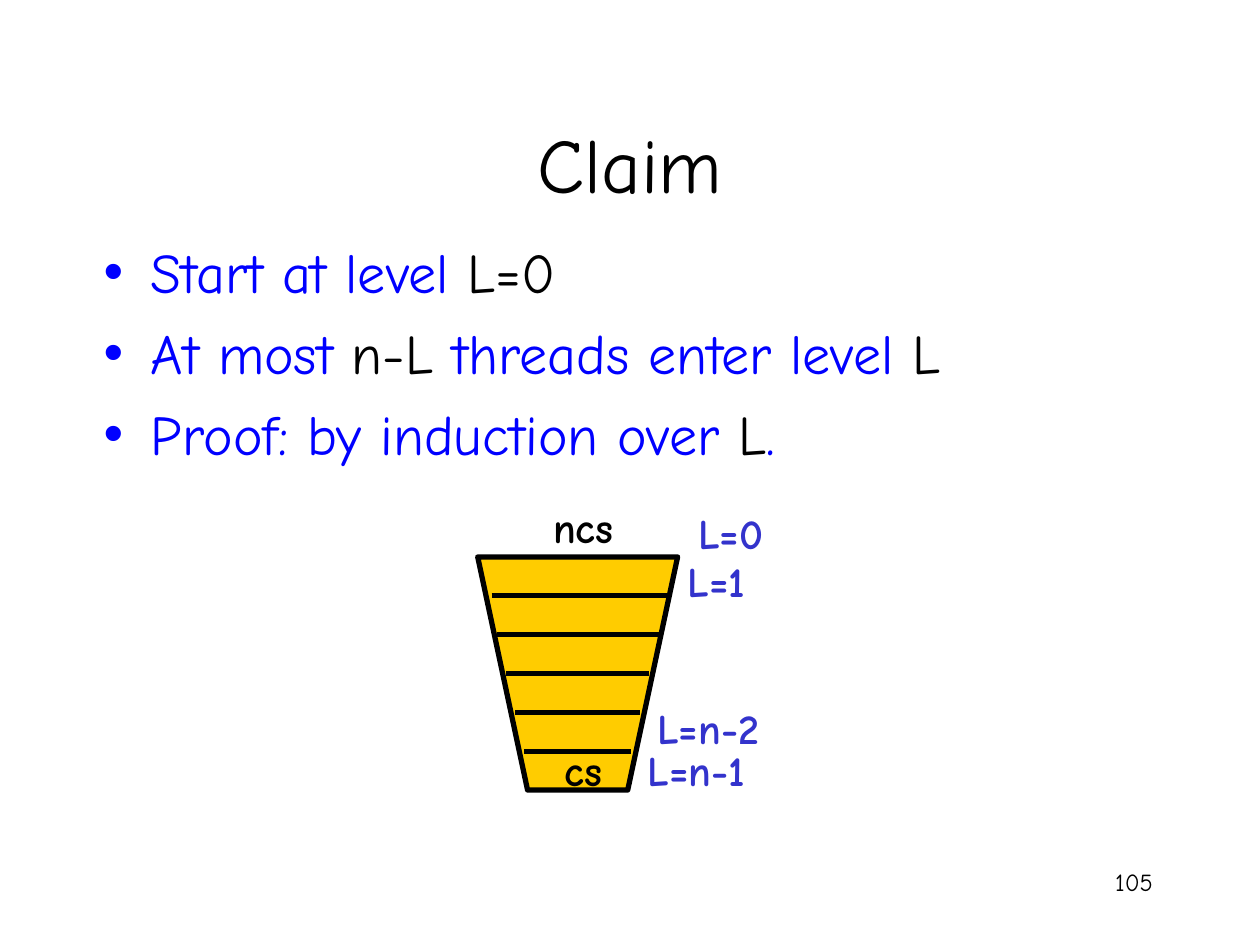
from dataclasses import dataclass

from lxml import etree
from pptx import Presentation
from pptx.dml.color import RGBColor
from pptx.enum.shapes import MSO_CONNECTOR
from pptx.enum.text import MSO_ANCHOR, MSO_AUTO_SIZE, PP_ALIGN
from pptx.oxml.ns import qn
from pptx.util import Pt

STRAIGHT = MSO_CONNECTOR.STRAIGHT
TOP, MIDDLE = MSO_ANCHOR.TOP, MSO_ANCHOR.MIDDLE
NO_FIT, GROW = MSO_AUTO_SIZE.NONE, MSO_AUTO_SIZE.SHAPE_TO_FIT_TEXT
LEFT, CENTER, RIGHT = PP_ALIGN.LEFT, PP_ALIGN.CENTER, PP_ALIGN.RIGHT


@dataclass(frozen=True)
class Theme:
    font: str = "Comic Neue"
    black: RGBColor = RGBColor(0x00, 0x00, 0x00)
    blue: RGBColor = RGBColor(0x00, 0x00, 0xFF)
    level: RGBColor = RGBColor(0x33, 0x33, 0xCC)
    funnel: RGBColor = RGBColor(0xFF, 0xCC, 0x00)
    title_size: int = 44
    body_size: int = 32
    label_size: int = 24
    number_size: int = 14
    line_width: int = 3


theme = Theme()


def add_run(paragraph, text, size, color, bold=False):
    run = paragraph.add_run()
    run.text = text
    run.font.name = theme.font
    run.font.size = Pt(size)
    run.font.bold = bold
    run.font.color.rgb = color


def place(shape, left, top, width, height):
    shape.left, shape.top = Pt(left), Pt(top)
    shape.width, shape.height = Pt(width), Pt(height)


prs = Presentation()
prs.slide_width, prs.slide_height = Pt(720), Pt(540)
slide = prs.slides.add_slide(prs.slide_layouts[1])
shapes = slide.shapes

# Title
title = shapes.title
place(title, 54, 48, 612, 90)
title.text_frame.auto_size = NO_FIT
title.text_frame.vertical_anchor = MIDDLE
heading = title.text_frame.paragraphs[0]
heading.alignment = CENTER
add_run(heading, "Claim", theme.title_size, theme.black)

# Claim list: plain words in blue, formulas in black
claims = [
    [("Start at level ", theme.blue), ("L=0", theme.black)],
    [("At most ", theme.blue), ("n-L", theme.black),
     (" threads enter level ", theme.blue), ("L", theme.black)],
    [("Proof: by induction over ", theme.blue), ("L", theme.black),
     (".", theme.blue)],
]
body = slide.placeholders[1]
place(body, 52, 132, 612, 324)
body.text_frame.auto_size = NO_FIT
body.text_frame.vertical_anchor = TOP
for index, claim in enumerate(claims):
    item = body.text_frame.paragraphs[0] if index == 0 else body.text_frame.add_paragraph()
    item.alignment = LEFT
    item.space_before = Pt(8 if index else 0)
    properties = item._p.get_or_add_pPr()
    properties.set("marL", str(Pt(27)))
    properties.set("indent", str(Pt(-27)))
    etree.SubElement(properties, qn("a:buChar"), char="•")
    for text, color in claim:
        add_run(item, text, theme.body_size, color)

# Funnel
funnel_top, level_height, level_count = 318.25, 22.2, 6
funnel_bottom = funnel_top + level_height * level_count
builder = shapes.build_freeform(Pt(273), Pt(funnel_top))
builder.add_line_segments(
    [(Pt(301.5), Pt(funnel_bottom)), (Pt(358.75), Pt(funnel_bottom)),
     (Pt(387.25), Pt(funnel_top))], close=True)
funnel = builder.convert_to_shape()
funnel.shadow.inherit = False
funnel.fill.solid()
funnel.fill.fore_color.rgb = theme.funnel
funnel.line.color.rgb = theme.black
funnel.line.width = Pt(theme.line_width)

# Lines between the levels, from the top down
divider_ends = [(281, 381.5), (284, 376.5), (289, 371), (294.5, 366), (299.5, 360.75)]
for number, (start, end) in enumerate(divider_ends, start=1):
    y = Pt(funnel_top + number * level_height)
    divider = shapes.add_connector(STRAIGHT, Pt(start), y, Pt(end), y)
    divider.line.color.rgb = theme.black
    divider.line.width = Pt(theme.line_width)
    etree.SubElement(divider._element.spPr, qn("a:effectLst"))

# Section and level labels
labels = [
    ("ncs", 309, 283, 51, theme.black),
    ("cs", 315.5, 422, 38, theme.black),
    ("L=n-1", 363, 422, 84, theme.level),
    ("L=1", 386, 314, 57, theme.level),
    ("L=n-2", 368.5, 398, 84, theme.level),
    ("L=0", 392, 286.5, 57, theme.level),
]
for text, left, top, width, color in labels:
    label = shapes.add_textbox(Pt(left), Pt(top), Pt(width), Pt(36))
    label.text_frame.word_wrap = False
    label.text_frame.auto_size = GROW
    add_run(label.text_frame.paragraphs[0], text, theme.label_size, color, bold=True)

# Slide number
page_number = shapes.add_textbox(Pt(516), Pt(492), Pt(150), Pt(36))
page_number.text_frame.word_wrap = True
page_number.text_frame.paragraphs[0].alignment = RIGHT
add_run(page_number.text_frame.paragraphs[0], "105", theme.number_size, theme.black)

prs.save("out.pptx")
